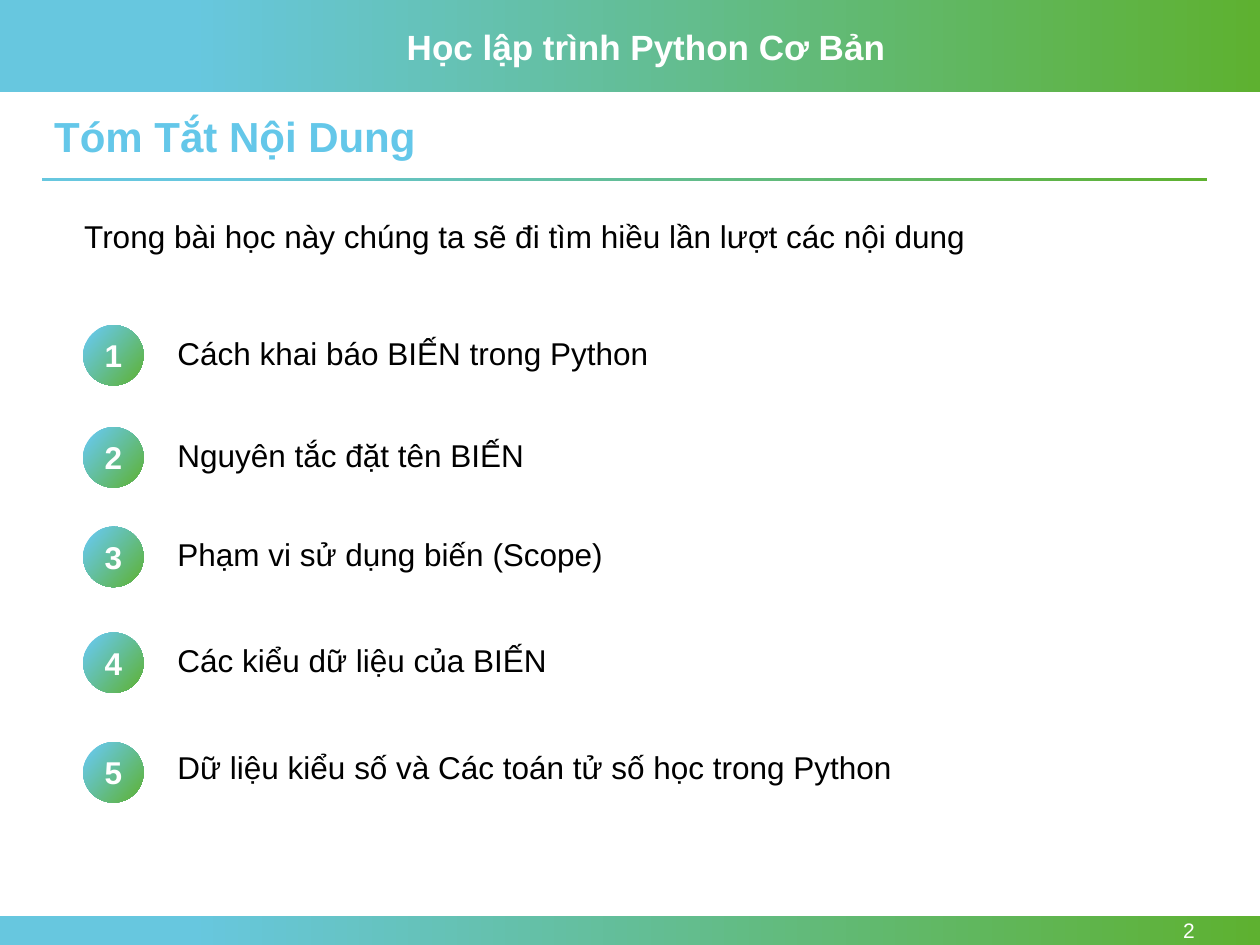
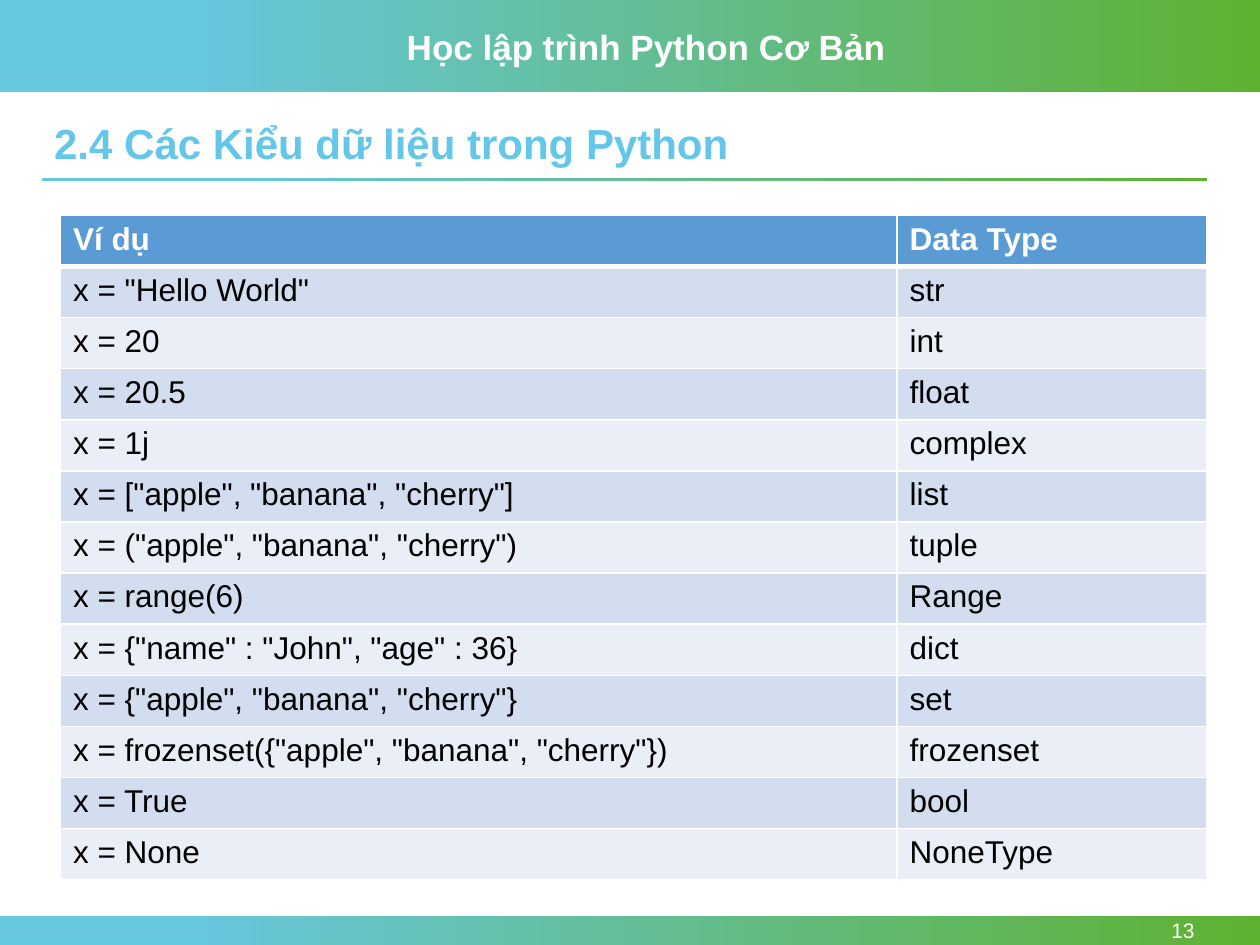
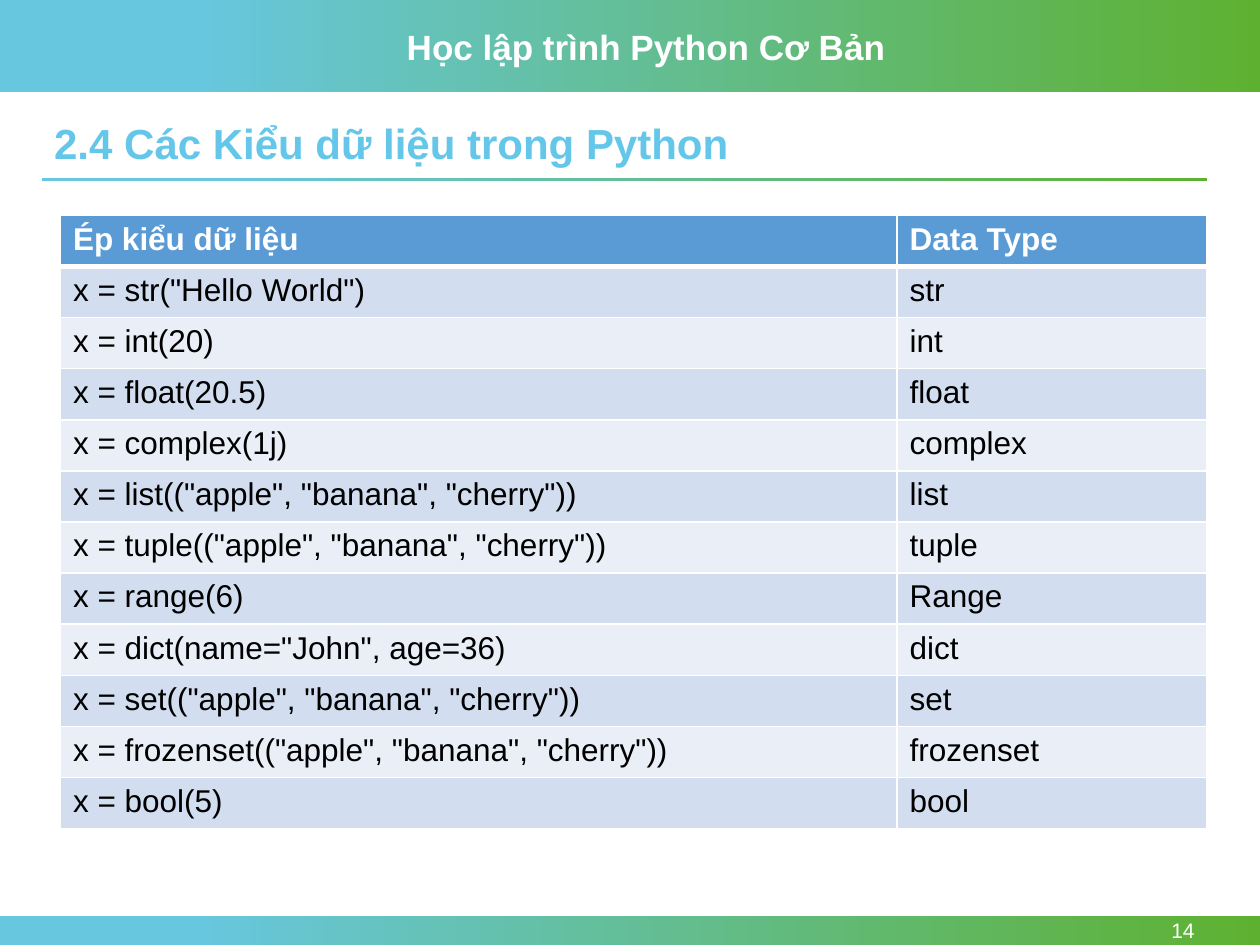
from dataclasses import dataclass

from lxml import etree
from pptx import Presentation
from pptx.dml.color import RGBColor
from pptx.enum.shapes import MSO_SHAPE
from pptx.enum.text import MSO_ANCHOR, MSO_AUTO_SIZE, PP_ALIGN
from pptx.oxml.ns import qn
from pptx.util import Pt

RECTANGLE, OVAL = MSO_SHAPE.RECTANGLE, MSO_SHAPE.OVAL
TOP, MIDDLE = MSO_ANCHOR.TOP, MSO_ANCHOR.MIDDLE
LEFT, CENTER, RIGHT = PP_ALIGN.LEFT, PP_ALIGN.CENTER, PP_ALIGN.RIGHT
GROW, NO_AUTOSIZE = MSO_AUTO_SIZE.SHAPE_TO_FIT_TEXT, MSO_AUTO_SIZE.NONE

FONT = "Arial"
COLORS = {
    "blue": "67C7DF",
    "green": "5EB130",
    "title": "64C7E9",
    "white": "FFFFFF",
    "black": "000000",
    "table_head": "5B9BD5",
    "row_dark": "D2DEEF",
    "row_light": "EAEFF7",
}
PAGE_WIDTH, PAGE_HEIGHT = 720, 540
FOOTER_TOP, FOOTER_HEIGHT = 523.44, 16.56
MARGIN, CONTENT_WIDTH = 23.76, 666
TABLE_LEFT, TABLE_TOP = 34.56, 123.12
COLUMN_WIDTHS = (478.08, 177.12)
ROW_HEIGHT = 29.2
BADGE_LEFT, BADGE_SIZE = 47.52, 34.56
TOPIC_LEFT = 94.32


@dataclass(frozen=True)
class Box:
    left: float
    top: float
    width: float
    height: float

    def lengths(self) -> tuple:
        return Pt(self.left), Pt(self.top), Pt(self.width), Pt(self.height)


@dataclass(frozen=True)
class TextStyle:
    size: float
    color: str
    bold: bool = False
    align: PP_ALIGN = LEFT
    anchor: MSO_ANCHOR = TOP


@dataclass(frozen=True)
class Topic:
    text: str
    badge_top: float
    text_top: float
    text_width: float = 407.52


@dataclass(frozen=True)
class TypeTable:
    number: int
    heading: str
    rows: tuple


BODY = TextStyle(18, "black")
TABLE_HEAD = TextStyle(18, "white", bold=True)
BADGE = TextStyle(18, "white", bold=True, align=CENTER, anchor=MIDDLE)
COURSE = TextStyle(20, "white", bold=True)
TITLE = TextStyle(24, "title", bold=True)
PAGE_NUMBER = TextStyle(12, "white", align=RIGHT, anchor=MIDDLE)

TOPICS = (
    Topic("Cách khai báo BIẾN trong Python", 185.76, 187.2),
    Topic("Nguyên tắc đặt tên BIẾN", 244.08, 245.52),
    Topic("Phạm vi sử dụng biến (Scope)", 300.96, 302.4),
    Topic("Các kiểu dữ liệu của BIẾN", 361.44, 362.88),
    Topic("Dữ liệu kiểu số và Các toán tử số học trong Python", 424.08, 424.08, 493.2),
)

TYPE_TABLES = (
    TypeTable(13, "Ví dụ", (
        ('x = "Hello World"', "str"),
        ("x = 20", "int"),
        ("x = 20.5", "float"),
        ("x = 1j", "complex"),
        ('x = ["apple", "banana", "cherry"]', "list"),
        ('x = ("apple", "banana", "cherry")', "tuple"),
        ("x = range(6)", "Range"),
        ('x = {"name" : "John", "age" : 36}', "dict"),
        ('x = {"apple", "banana", "cherry"}', "set"),
        ('x = frozenset({"apple", "banana", "cherry"})', "frozenset"),
        ("x = True", "bool"),
        ("x = None", "NoneType"),
    )),
    TypeTable(14, "Ép kiểu dữ liệu", (
        ('x = str("Hello World")', "str"),
        ("x = int(20)", "int"),
        ("x = float(20.5)", "float"),
        ("x = complex(1j)", "complex"),
        ('x = list(("apple", "banana", "cherry"))', "list"),
        ('x = tuple(("apple", "banana", "cherry"))', "tuple"),
        ("x = range(6)", "Range"),
        ('x = dict(name="John", age=36)', "dict"),
        ('x = set(("apple", "banana", "cherry"))', "set"),
        ('x = frozenset(("apple", "banana", "cherry"))', "frozenset"),
        ("x = bool(5)", "bool"),
    )),
)


def rgb(name: str) -> RGBColor:
    return RGBColor.from_string(COLORS[name])


def write(frame, text: str, style: TextStyle):
    frame.word_wrap = True
    frame.vertical_anchor = style.anchor
    para = frame.paragraphs[0]
    para.alignment = style.align
    span = para.add_run()
    span.text = text
    span.font.name = FONT
    span.font.size = Pt(style.size)
    span.font.bold = style.bold
    span.font.color.rgb = rgb(style.color)
    return para


def add_text(page, box: Box, text: str, style: TextStyle, autosize=GROW):
    shape = page.shapes.add_textbox(*box.lengths())
    write(shape.text_frame, text, style)
    shape.text_frame.auto_size = autosize
    return shape


def add_gradient_shape(page, kind, box: Box, clockwise_angle: int = 0):
    shape = page.shapes.add_shape(kind, *box.lengths())
    shape.shadow.inherit = False
    shape.line.fill.background()
    shape.fill.gradient()
    shape.fill.gradient_angle = -clockwise_angle % 360
    stops = zip(shape.fill.gradient_stops, ((0.15, "blue"), (1, "green")))
    for stop, (position, color) in stops:
        stop.position = position
        stop.color.rgb = rgb(color)
    return shape


def move_frame_to_layout(page) -> None:
    """Draw the bands, course name and title rule, and share them through the layout."""
    layout = page.slide_layout
    for holder in list(layout.placeholders)[1:]:
        layout.shapes.element.remove(holder.element)
    frame = [
        add_gradient_shape(page, RECTANGLE, Box(0, 0, PAGE_WIDTH, 52.56)),
        add_gradient_shape(page, RECTANGLE, Box(0, FOOTER_TOP, PAGE_WIDTH, FOOTER_HEIGHT)),
        add_text(page, Box(225.36, 10.8, 288, 31.68), "Học lập trình Python Cơ Bản", COURSE),
        add_gradient_shape(page, RECTANGLE, Box(MARGIN, 101.52, CONTENT_WIDTH, 2)),
    ]
    for shape in frame:
        layout.shapes.element.append(shape.element)


def add_page(deck, number: int, title: str, title_top: float):
    page = deck.slides.add_slide(deck.slide_layouts.get_by_name("Title Only"))
    holder = page.shapes.title
    holder.left, holder.top, holder.width, holder.height = Box(
        MARGIN, title_top, CONTENT_WIDTH, 33.12).lengths()
    para = write(holder.text_frame, title, TITLE)
    para.line_spacing = 0.9
    para.space_before = Pt(10)
    holder.text_frame.auto_size = GROW
    if len(deck.slides) == 1:
        move_frame_to_layout(page)
    add_text(page, Box(623.52, FOOTER_TOP, 66.24, FOOTER_HEIGHT), str(number),
             PAGE_NUMBER, NO_AUTOSIZE)
    return page


def add_topic(page, number: int, topic: Topic) -> None:
    badge = add_gradient_shape(
        page, OVAL, Box(BADGE_LEFT, topic.badge_top, BADGE_SIZE, BADGE_SIZE), 40)
    write(badge.text_frame, str(number), BADGE)
    add_text(page, Box(TOPIC_LEFT, topic.text_top, topic.text_width, 29.08), topic.text, BODY)


def add_border(cell, side: str, width: float) -> None:
    line = etree.SubElement(cell._tc.get_or_add_tcPr(), qn(f"a:ln{side}"), w=str(Pt(width)))
    fill = etree.SubElement(line, qn("a:solidFill"))
    etree.SubElement(fill, qn("a:srgbClr"), val=COLORS["white"])


def add_type_table(page, content: TypeTable) -> None:
    rows = ((content.heading, "Data Type"), *content.rows)
    box = Box(TABLE_LEFT, TABLE_TOP, sum(COLUMN_WIDTHS), ROW_HEIGHT * len(rows))
    table = page.shapes.add_table(len(rows), len(COLUMN_WIDTHS), *box.lengths()).table
    for column, width in zip(table.columns, COLUMN_WIDTHS):
        column.width = Pt(width)
    for row_index, values in enumerate(rows):
        table.rows[row_index].height = Pt(ROW_HEIGHT)
        if row_index == 0:
            fill, style = "table_head", TABLE_HEAD
        else:
            fill, style = ("row_dark" if row_index % 2 else "row_light"), BODY
        widths = {"L": 1, "R": 1, "T": 3 if row_index == 1 else 1, "B": 3 if row_index == 0 else 1}
        for column_index, value in enumerate(values):
            cell = table.cell(row_index, column_index)
            for side, width in widths.items():
                add_border(cell, side, width)
            cell.fill.solid()
            cell.fill.fore_color.rgb = rgb(fill)
            write(cell.text_frame, value, style)


def main() -> None:
    deck = Presentation()
    deck.slide_width, deck.slide_height = Pt(PAGE_WIDTH), Pt(PAGE_HEIGHT)

    page = add_page(deck, 2, "Tóm Tắt Nội Dung", 62.64)
    for number, topic in enumerate(TOPICS, start=1):
        add_topic(page, number, topic)
    add_text(page, Box(41.04, 120.24, 648.72, 29.08),
             "Trong bài học này chúng ta sẽ đi tìm hiều lần lượt các nội dung", BODY)

    for content in TYPE_TABLES:
        page = add_page(deck, content.number, "2.4 Các Kiểu dữ liệu trong Python", 66.96)
        add_type_table(page, content)

    deck.save("out.pptx")


if __name__ == "__main__":
    main()
